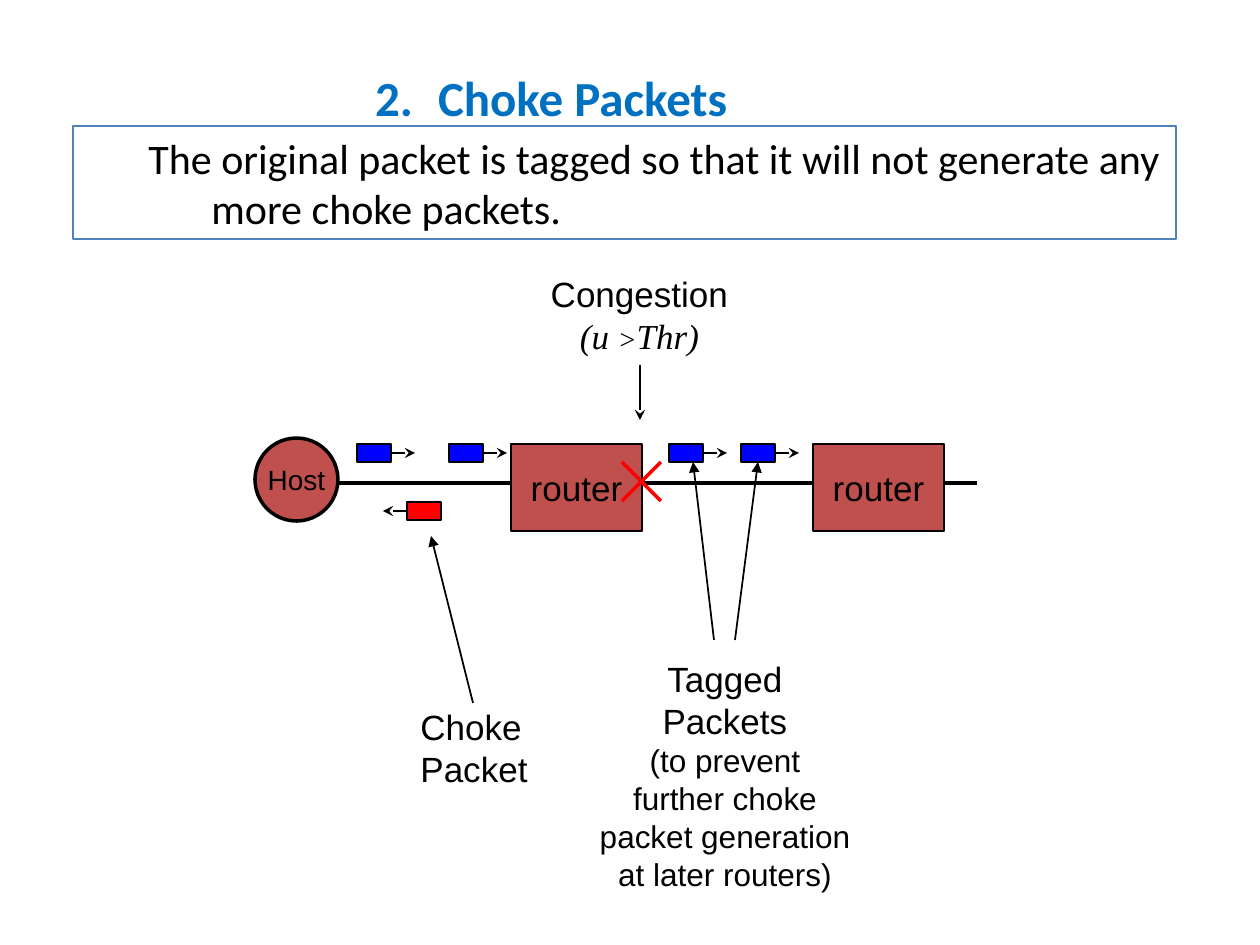
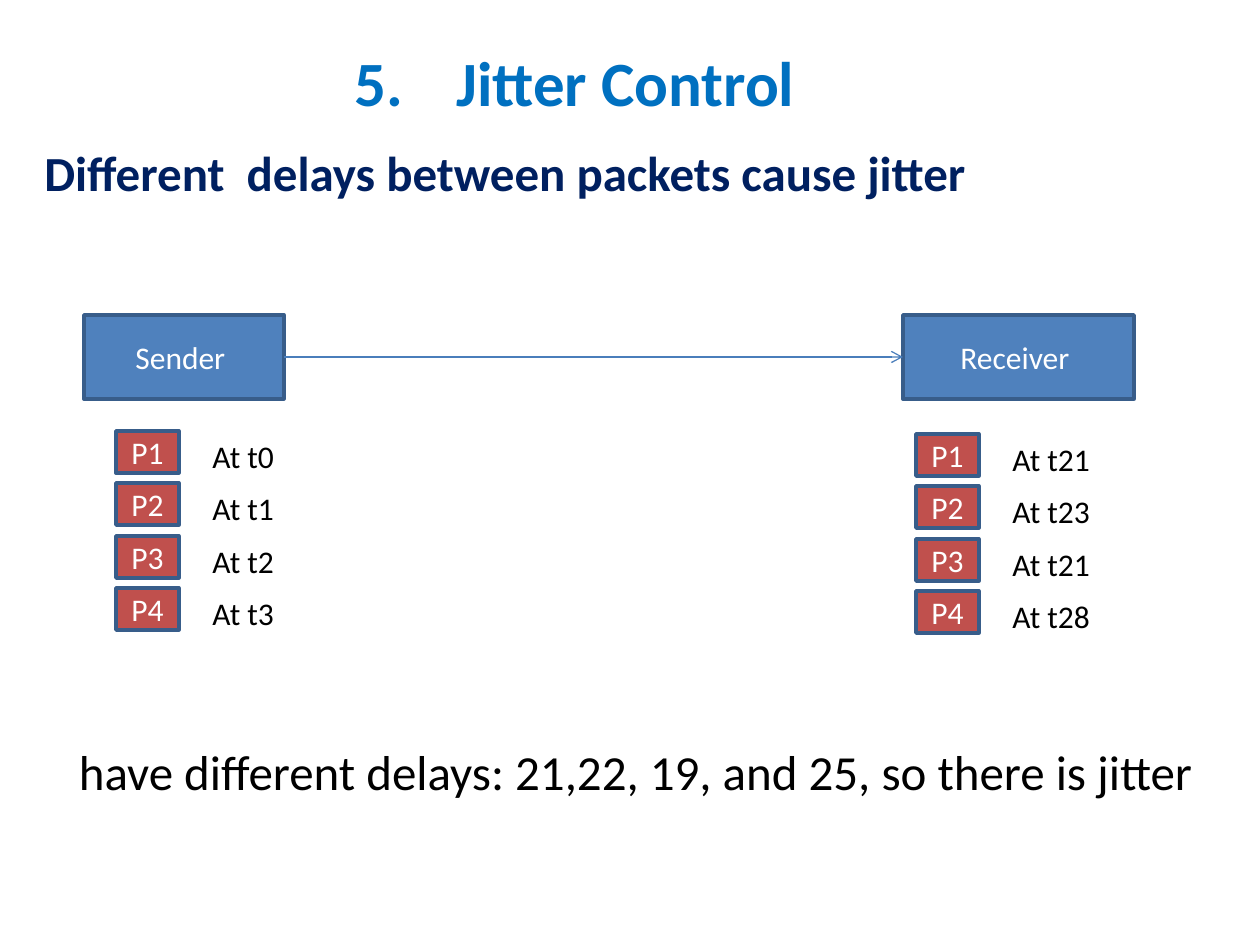
from dataclasses import dataclass
from typing import NamedTuple, Optional

from lxml.etree import SubElement
from pptx import Presentation
from pptx.dml.color import RGBColor
from pptx.enum.shapes import MSO_CONNECTOR, MSO_SHAPE
from pptx.enum.text import MSO_ANCHOR, PP_ALIGN
from pptx.oxml.ns import qn
from pptx.util import Emu, Pt

PX_PER_INCH = 126
BLACK = RGBColor(0, 0, 0)
WHITE = RGBColor(255, 255, 255)
BLUE = RGBColor(0, 0, 255)
RED = RGBColor(255, 0, 0)
TITLE_BLUE = RGBColor(0x00, 0x70, 0xC0)
NAVY = RGBColor(0x00, 0x20, 0x60)
STEEL = RGBColor(0x4F, 0x81, 0xBD)
STEEL_EDGE = RGBColor(0x38, 0x5D, 0x8A)
STEEL_LINE = RGBColor(0x4A, 0x7E, 0xBB)
BRICK = RGBColor(0xC0, 0x50, 0x4D)

TOP, LEFT, BOTTOM, RIGHT = range(4)
PACKET_W, PACKET_H, ARROW = 34, 18, 24
STEP_W, STEP_H, STEP_TO_TIME = 63, 42, 84


@dataclass(frozen=True)
class TextStyle:
    size: int
    font: str = "Calibri"
    color: RGBColor = BLACK
    bold: bool = False
    italic: bool = False
    align: PP_ALIGN = PP_ALIGN.CENTER


class Area(NamedTuple):
    left: int
    top: int
    width: int
    height: int


class Look(NamedTuple):
    fill: Optional[RGBColor]
    line: RGBColor
    weight: float


class Timeline(NamedTuple):
    left: int
    top: int
    time_width: int
    times: tuple


LABEL = TextStyle(20, "Arial")
NOTE = TextStyle(18, "Arial")
BODY = TextStyle(18, align=PP_ALIGN.LEFT)
ON_FILL = TextStyle(18, color=WHITE)
ROUTER = Look(BRICK, BLACK, 1)
STATION = Look(STEEL, STEEL_EDGE, 2)
STEP = Look(BRICK, STEEL_EDGE, 2)


def px(length: int) -> Emu:
    return Emu(round(length * 914400 / PX_PER_INCH))


def set_font(font, style: TextStyle) -> None:
    font.size, font.name = Pt(style.size), style.font
    font.bold, font.italic = style.bold, style.italic
    font.color.rgb = style.color


def write(shape, lines: list, wrap: bool = True):
    """Fill a shape with (text, style) lines and return its last paragraph."""
    frame = shape.text_frame
    frame.word_wrap = wrap
    for index, (text, style) in enumerate(lines):
        para = frame.add_paragraph() if index else frame.paragraphs[0]
        para.text = text
        para.alignment = style.align
        set_font(para.font, style)
    return para


def add_text(page, area: Area, lines: list, wrap: bool = True):
    box = page.shapes.add_textbox(*map(px, area))
    write(box, lines, wrap)
    return box


def add_box(page, area: Area, look: Look, kind=MSO_SHAPE.RECTANGLE):
    box = page.shapes.add_shape(kind, *map(px, area))
    box.shadow.inherit = False
    if look.fill is None:
        box.fill.background()
    else:
        box.fill.solid()
        box.fill.fore_color.rgb = look.fill
    box.line.color.rgb = look.line
    box.line.width = Pt(look.weight)
    return box


def add_line(shapes, start: tuple, end: tuple, color=BLACK, weight: float = 1, head: str = ""):
    line = shapes.add_connector(MSO_CONNECTOR.STRAIGHT, *map(px, start + end))
    line.line.color.rgb = color
    line.line.width = Pt(weight)
    if head:
        SubElement(line.line._get_or_add_ln(), qn("a:tailEnd"), type=head)
    SubElement(line._element.spPr, qn("a:effectLst"))
    return line


def set_indent(para, left: int, first: int):
    props = para._p.get_or_add_pPr()
    props.set("marL", str(px(left)))
    props.set("indent", str(px(first)))
    return props


def add_title(page, area: Area, number: int, text: str, size: int, hang: int) -> None:
    """Add a centred heading with an automatic number."""
    box = page.shapes.add_textbox(*map(px, area))
    para = box.text_frame.paragraphs[0]
    props = set_indent(para, hang, -hang)
    SubElement(SubElement(props, qn("a:buClr")), qn("a:srgbClr"), val=str(TITLE_BLUE))
    SubElement(props, qn("a:buFont"), typeface="Calibri")
    SubElement(props, qn("a:buAutoNum"), type="arabicPeriod", startAt=str(number))
    para.line_spacing = 1.5
    write(box, [(text, TextStyle(size, color=TITLE_BLUE, bold=True))])


def add_packet(page, left: int, top: int, color: RGBColor, side: int = RIGHT):
    """Draw a packet with a short arrow leaving the given side."""
    packet = add_box(page, Area(left, top, PACKET_W, PACKET_H), Look(color, BLACK, 1))
    middle = top + PACKET_H // 2
    start, end = (left, left - ARROW) if side == LEFT else (left + PACKET_W, left + PACKET_W + ARROW)
    arrow = add_line(page.shapes, (start, middle), (end, middle), head="stealth")
    arrow.begin_connect(packet, side)
    return packet


def build_choke_packets(page) -> None:
    rule = add_box(page, Area(73, 126, 1103, 113), Look(None, STEEL, 0.75))
    rule.text_frame.vertical_anchor = MSO_ANCHOR.TOP
    para = write(rule, [("The original packet is tagged so that it will not generate any more choke packets.",
                         TextStyle(24, align=PP_ALIGN.LEFT))])
    set_indent(para, 126, -63)
    add_title(page, Area(357, 32, 388, 101), 2, "Choke Packets", 28, 63)

    add_line(page.shapes, (305, 483), (977, 483), weight=2)
    for left in (511, 813):
        write(add_box(page, Area(left, 444, 131, 87), ROUTER), [("router", LABEL)], wrap=False)
    host = add_box(page, Area(255, 438, 83, 83), Look(BRICK, BLACK, 2), MSO_SHAPE.OVAL)
    write(host, [("Host", TextStyle(16, "Arial"))], wrap=False)

    data_packets = [add_packet(page, left, 444, BLUE) for left in (357, 449, 669, 741)]
    add_packet(page, 407, 502, RED, LEFT)

    choke_style = TextStyle(20, "Arial", align=PP_ALIGN.LEFT)
    add_text(page, Area(408, 699, 132, 97), [("Choke", choke_style), ("Packet", choke_style)], wrap=False)

    congestion = add_text(page, Area(538, 266, 203, 97), [("Congestion", LABEL)], wrap=False)
    formula = congestion.text_frame.add_paragraph()
    formula.alignment = PP_ALIGN.CENTER
    for text, size in (("(u ", 20), (">", 16), ("Thr)", 20)):
        span = formula.add_run()
        span.text = text
        set_font(span.font, TextStyle(size, "Times New Roman", italic=True))
    add_line(page.shapes, (640, 365), (640, 420), head="stealth")

    cross = page.shapes.add_group_shape()
    for start, end in ((622, 661), (661, 622)):
        add_line(cross.shapes, (start, 462), (end, 501), RED, 2)

    add_line(page.shapes, (714, 640), (693, 462), head="triangle")
    add_line(page.shapes, (473, 703), (431, 536), head="triangle")
    pointer = add_line(page.shapes, (735, 640), (756, 462), head="triangle")
    pointer.end_connect(data_packets[-1], BOTTOM)

    reasons = ("(to prevent", "further choke", "packet generation", "at later routers)")
    add_text(page, Area(587, 651, 276, 248),
             [("Tagged", LABEL), ("Packets", LABEL)] + [(line, NOTE) for line in reasons], wrap=False)


def add_timeline(page, timeline: Timeline) -> None:
    """Stack numbered packets with the time of each beside it."""
    for row, time in enumerate(timeline.times):
        top = timeline.top + row * 105 // 2
        step = add_box(page, Area(timeline.left, top, STEP_W, STEP_H), STEP)
        write(step, [(f"P{row + 1}", ON_FILL)])
        add_text(page, Area(timeline.left + STEP_TO_TIME, top, timeline.time_width, 50),
                 [(f"At {time}", BODY)])


def build_jitter_control(page) -> None:
    add_title(page, Area(32, 0, 1085, 126), 5, "Jitter Control", 36, 102)
    add_text(page, Area(32, 136, 1018, 72),
             [("Different  delays between packets cause jitter",
               TextStyle(28, color=NAVY, bold=True, align=PP_ALIGN.LEFT))])

    sender = add_box(page, Area(84, 315, 200, 84), STATION)
    receiver = add_box(page, Area(903, 315, 231, 84), STATION)
    write(sender, [("Sender ", ON_FILL)])
    write(receiver, [("Receiver ", ON_FILL)])
    link = add_line(page.shapes, (284, 357), (903, 357), STEEL_LINE, 0.75, "arrow")
    link.begin_connect(sender, RIGHT)
    link.end_connect(receiver, LEFT)

    add_timeline(page, Timeline(116, 431, 95, ("t0", "t1", "t2", "t3")))
    add_timeline(page, Timeline(916, 434, 135, ("t21", "t23", "t21", "t28")))

    add_text(page, Area(53, 735, 1165, 72),
             [("have different delays: 21,22, 19, and 25, so there is jitter", TextStyle(28))])


def main() -> None:
    deck = Presentation()
    deck.slide_width, deck.slide_height = px(1260), px(945)
    blank = deck.slide_layouts[6]
    for build in (build_choke_packets, build_jitter_control):
        build(deck.slides.add_slide(blank))
    deck.save("out.pptx")


if __name__ == "__main__":
    main()
